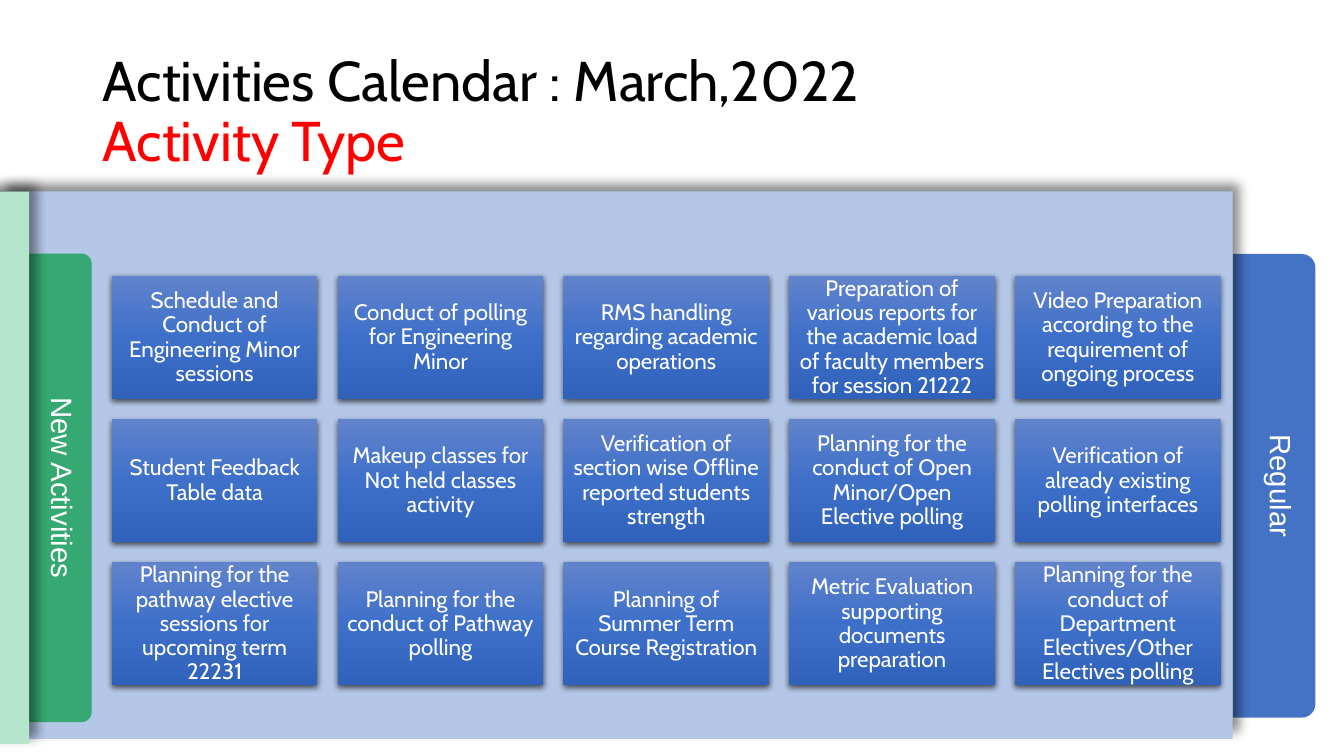
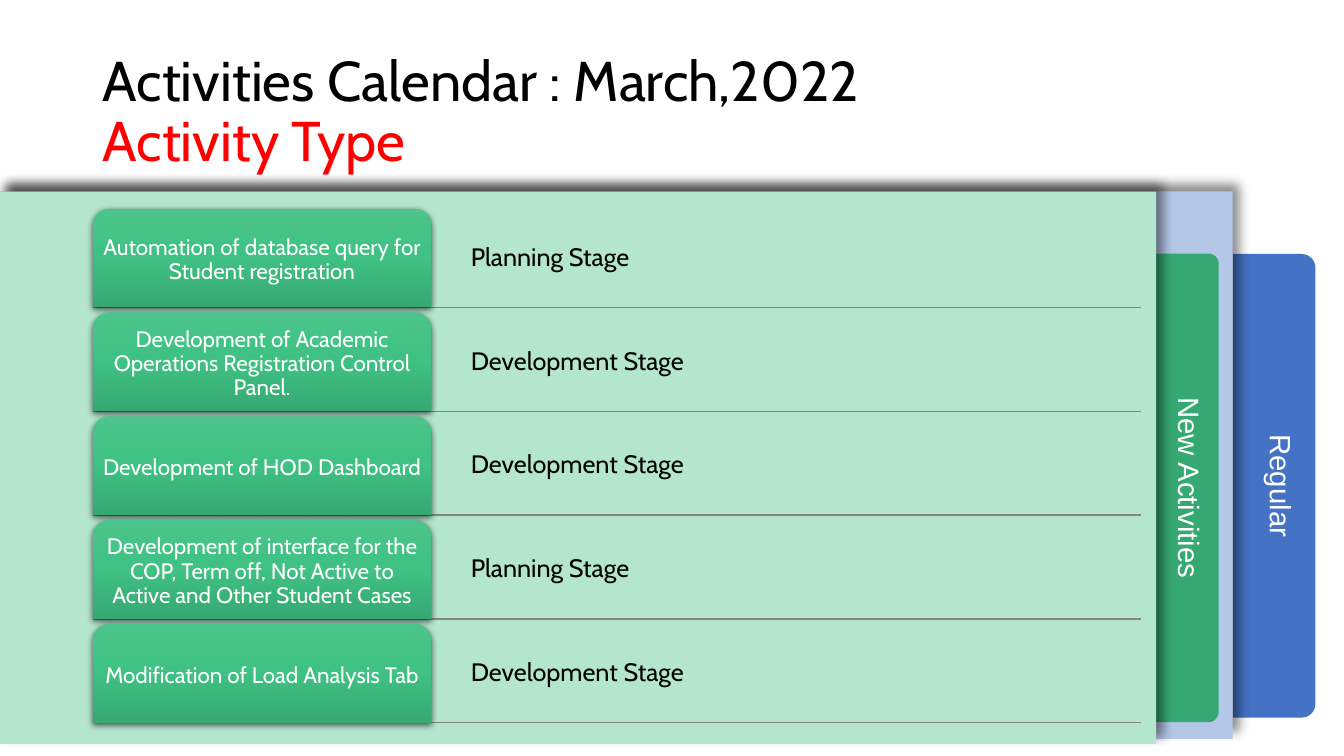
from copy import deepcopy
from lxml import etree
from pptx import Presentation
from pptx import util as u
from pptx.dml.color import RGBColor
from pptx.enum import shapes, text
from pptx.oxml.ns import qn

rgb = RGBColor.from_string
RECT = shapes.MSO_SHAPE.RECTANGLE
ROUND = shapes.MSO_SHAPE.ROUND_2_SAME_RECTANGLE
MIDDLE, TOP = text.MSO_ANCHOR.MIDDLE, text.MSO_ANCHOR.TOP
LEFT, CENTER = text.PP_ALIGN.LEFT, text.PP_ALIGN.CENTER
PANEL_SHADOW = (45, 8, 7, 315)
CARD_SHADOW = (63, 4.5, 1.5, 90)
BLUES = ["6183CB", "3E70CA", "3062BB"]
GREENS = ["4BC58B", "3FC183", "36A872"]


def box(s, kind, x, y, w, h, colors, shadow=None):
    sp = s.shapes.add_shape(kind, *[u.Inches(v) for v in (x, y, w, h)])
    sp.line.fill.background()
    sp.shadow.inherit = False
    if len(colors) == 1:
        sp.fill.solid()
        sp.fill.fore_color.rgb = rgb(colors[0])
    else:
        sp.fill.gradient()
        sp.fill.gradient_angle = 270
        gs = sp._element.spPr.find(qn("a:gradFill")).find(qn("a:gsLst"))
        gs.insert(1, deepcopy(gs[0]))
        for i, stop in enumerate(sp.fill.gradient_stops):
            stop.position = i / 2
            stop.color.rgb = rgb(colors[i])
    if shadow:
        alpha, blur, dist, angle = shadow
        fx = sp._element.spPr.find(qn("a:effectLst"))
        sh = etree.SubElement(fx, qn("a:outerShdw"), blurRad=str(u.Pt(blur)),
                              dist=str(u.Pt(dist)), dir=str(angle * 60000), rotWithShape="0")
        clr = etree.SubElement(sh, qn("a:srgbClr"), val="000000")
        etree.SubElement(clr, qn("a:alpha"), val=str(alpha * 1000))
    return sp


def write(sp, txt, size, font="Cabin", color="FFFFFF", align=CENTER, anchor=MIDDLE,
          inset=0.03, top=None, spacing=0.9):
    tf = sp.text_frame
    tf.word_wrap = True
    tf.vertical_anchor = anchor
    tf.margin_left = tf.margin_right = tf.margin_bottom = u.Inches(inset)
    tf.margin_top = u.Inches(inset if top is None else top)
    p = tf.paragraphs[0]
    p.alignment = align
    p.line_spacing = spacing
    r = p.add_run()
    r.text = txt
    r.font.name, r.font.size, r.font.color.rgb = font, u.Pt(size), rgb(color)


prs = Presentation()
prs.slide_width, prs.slide_height = u.Inches(13.333), u.Inches(7.5)
layout = prs.slide_layouts[5]
title = layout.placeholders[0]
title.left, title.top, title.width, title.height = [u.Inches(v) for v in (0.92, 0.4, 11.5, 1.45)]
style = prs.slide_master.element.xpath(".//p:titleStyle/a:lvl1pPr")[0]
style.set("algn", "l")
style.find(qn("a:defRPr")).set("sz", "4000")

slides = []
for green_right in (0.29, 11.47):
    s = prs.slides.add_slide(layout)
    slides.append(s)
    p = s.shapes.title.text_frame.paragraphs[0]
    p.line_spacing = 0.9
    for i, (line, color) in enumerate([("Activities Calendar : March,2022", "000000"),
                                       ("Activity Type", "FF0000")]):
        if i:
            p.add_line_break()
        r = p.add_run()
        r.text = line
        r.font.name, r.font.size, r.font.color.rgb = "Cabin", u.Pt(40), rgb(color)

    green_left = 0 if green_right > 1 else green_right - 8.65
    for label, left, right, panel_h, panel, tab, length, depth, mid, top in [
            ("Regular", 0, 12.23, 5.43, "B4C7E7", "4472C4", 4.6, 0.82, 4.82, 0.12),
            ("New Activities", green_left, green_right, 5.48, "B4E6CE", "36A872",
             4.65, 0.62, 4.84, 0.08)]:
        sp = box(s, ROUND, right + (depth - length) / 2, mid - depth / 2, length, depth, [tab])
        sp.rotation = 90
        write(sp, label, 21, font="Arial", anchor=TOP, top=top, spacing=1)
        box(s, RECT, left, 1.9, right - left, panel_h, [panel], PANEL_SHADOW)

regular, new = slides

tasks = [
    "Schedule and Conduct of Engineering Minor sessions",
    "Conduct of polling for Engineering Minor",
    "RMS handling regarding academic operations",
    "Preparation of various reports for the academic load of faculty members for session 21222",
    "Video Preparation according to the requirement of ongoing process",
    "Student Feedback Table data",
    "Makeup classes for Not held classes activity",
    "Verification of section wise Offline reported students strength",
    "Planning for the conduct of Open Minor/Open Elective polling",
    "Verification of already existing polling interfaces",
    "Planning for the pathway elective sessions for upcoming term 22231",
    "Planning for the conduct of Pathway polling",
    "Planning of Summer Term Course Registration",
    "Metric Evaluation supporting documents preparation",
    "Planning for the conduct of Department Electives/Other Electives polling",
]
card_w, card_h, gap = 2.04, 1.22, 0.2
for i, task in enumerate(tasks):
    row, col = divmod(i, 5)
    sp = box(regular, RECT, 1.11 + col * (card_w + gap), 2.74 + row * (card_h + gap),
             card_w, card_h, BLUES, CARD_SHADOW)
    write(sp, task, 16, inset=0.07)

projects = [
    ("Automation of database query for Student registration", "Planning Stage"),
    ("Development of Academic Operations Registration Control Panel.", "Development Stage"),
    ("Development of HOD Dashboard", "Development Stage"),
    ("Development of interface for the COP, Term off, Not Active to Active and Other Student Cases",
     "Planning Stage"),
    ("Modification of Load Analysis Tab", "Development Stage"),
]
row_h, pitch = 0.98, 1.03
tops = [2.07 + i * pitch for i in range(len(projects))]
for y in tops:
    ln = new.shapes.add_connector(shapes.MSO_CONNECTOR.STRAIGHT, u.Inches(0.92),
                                  u.Inches(y + row_h), u.Inches(11.32), u.Inches(y + row_h))
    ln.line.color.rgb = rgb("848484")
    ln.line.width = u.Pt(1)
    etree.SubElement(ln._element.spPr, qn("a:effectLst"))
for y, (project, stage) in zip(tops, projects):
    tb = new.shapes.add_textbox(*[u.Inches(v) for v in (4.64, y, 6.69, row_h)])
    write(tb, stage, 18, color="000000", align=LEFT)
    write(box(new, ROUND, 0.92, y, 3.36, row_h, GREENS, CARD_SHADOW), project, 16)

prs.save("out.pptx")
